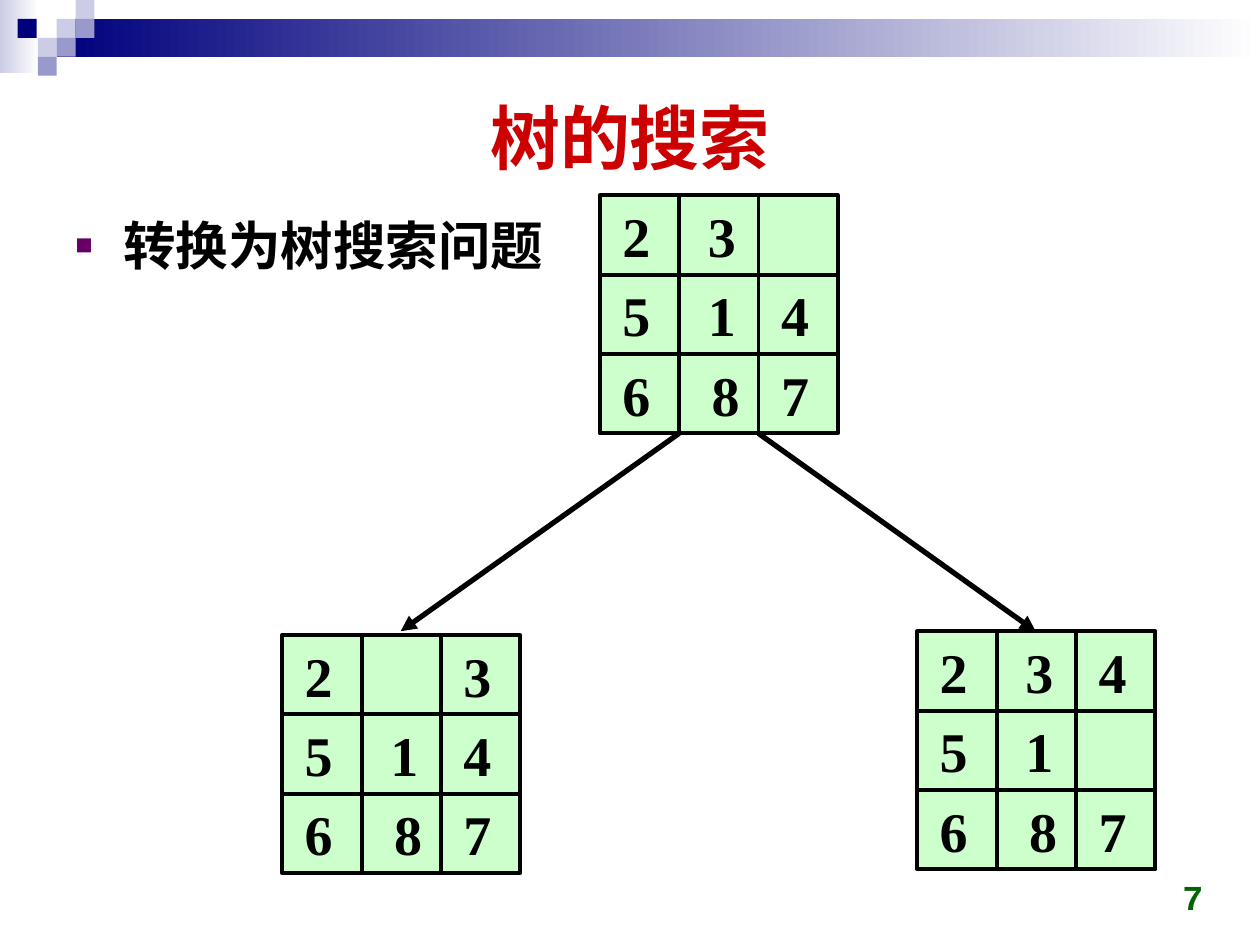
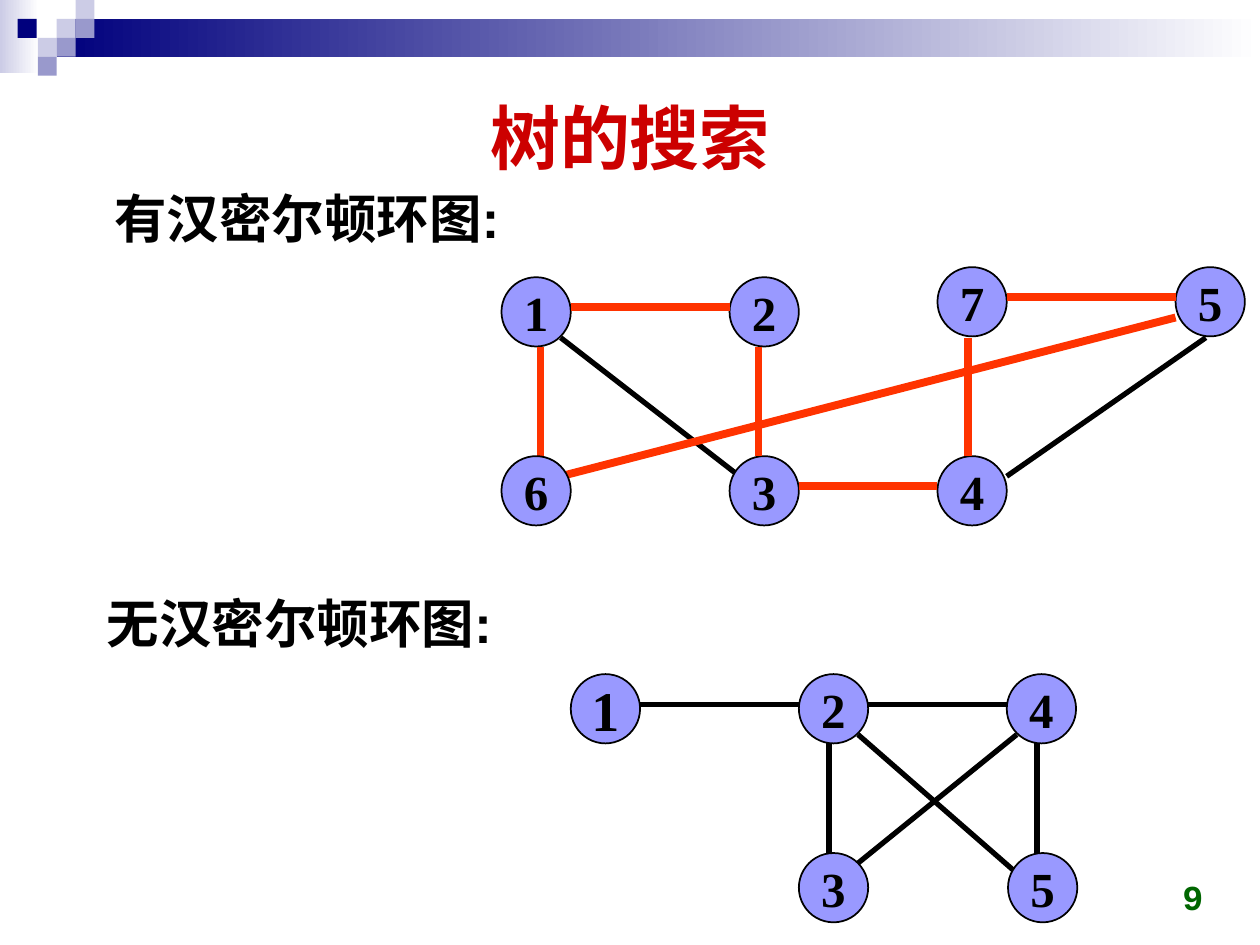
from lxml import etree
from pptx import Presentation
from pptx.dml.color import RGBColor
from pptx.enum.shapes import MSO_CONNECTOR, MSO_SHAPE
from pptx.enum.text import MSO_ANCHOR, PP_ALIGN
from pptx.oxml.ns import qn
from pptx.util import Inches, Pt

RECT, OVAL = MSO_SHAPE.RECTANGLE, MSO_SHAPE.OVAL
STRAIGHT = MSO_CONNECTOR.STRAIGHT
TOP, MIDDLE, BOTTOM = MSO_ANCHOR.TOP, MSO_ANCHOR.MIDDLE, MSO_ANCHOR.BOTTOM
LEFT, CENTER, RIGHT = PP_ALIGN.LEFT, PP_ALIGN.CENTER, PP_ALIGN.RIGHT

BLACK = RGBColor(0, 0, 0)
WHITE = RGBColor(0xFF, 0xFF, 0xFF)
NAVY = RGBColor(0x00, 0x00, 0x7D)
PALE = RGBColor(0xCC, 0xCC, 0xE6)
MAUVE = RGBColor(0x99, 0x99, 0xCC)
RED = RGBColor(0xCC, 0x00, 0x00)
GREEN = RGBColor(0x00, 0x66, 0x00)
MINT = RGBColor(0xCC, 0xFF, 0xCC)
BLUE = RGBColor(0x99, 0x99, 0xFF)
ORANGE = RGBColor(0xFF, 0x33, 0x00)

SANS, SERIF, MONO = "Arial", "Times New Roman", "Courier New"

SQUARE = 0.15
SQUARES = [(0.45, 0.15, PALE), (0.6, 0, PALE), (0.6, 0.15, MAUVE),
           (0.3, 0.3, PALE), (0.14, 0.15, NAVY), (0.45, 0.3, MAUVE),
           (0.3, 0.45, MAUVE)]

CELL = 0.63
COLUMNS = (0.08, 0.76, 1.34)
BOARDS = [(4.76, 1.55, ("23 ", "514", "687")),
          (2.24, 5.04, ("2 3", "514", "687")),
          (7.28, 5.01, ("234", "51 ", "687"))]

NODE = 0.55
CYCLE = [(4.53, 2.44, 5.79, 2.44), (6.02, 2.75, 6.02, 3.62),
         (6.34, 3.86, 7.44, 3.86), (7.68, 3.62, 7.68, 2.68),
         (7.99, 2.36, 9.33, 2.36), (4.45, 3.78, 9.33, 2.52),
         (4.29, 2.75, 4.29, 3.62)]
CHORDS = [(4.45, 2.68, 5.87, 3.78), (9.57, 2.68, 7.99, 3.78)]
EDGES = [(5.08, 5.59, 6.34, 5.59), (6.58, 5.9, 6.58, 6.77),
         (6.89, 5.59, 8, 5.59), (8.23, 5.9, 8.23, 6.77),
         (6.81, 5.83, 8.07, 6.93), (8.07, 5.83, 6.81, 6.85)]


def style(frame, text, size, font, color, align=LEFT, anchor=TOP, wrap=True):
    """Write one bold paragraph into a text frame and return it."""
    frame.text = text
    frame.word_wrap = wrap
    frame.vertical_anchor = anchor
    para = frame.paragraphs[0]
    para.alignment = align
    face = para.runs[0].font
    face.name, face.size, face.bold = font, Pt(size), True
    face.color.rgb = color
    return para


def label(slide, box, text, size, font, color, **look):
    """Add a text box at box (left, top, width, height)."""
    shape = slide.shapes.add_textbox(*map(Inches, box))
    return style(shape.text_frame, text, size, font, color, **look)


def block(slide, kind, box, fill, line=None):
    """Add a flat shape with a plain fill and, if given, a black outline."""
    shape = slide.shapes.add_shape(kind, *map(Inches, box))
    shape.shadow.inherit = False
    shape.fill.solid()
    shape.fill.fore_color.rgb = fill
    if line:
        shape.line.color.rgb = BLACK
        shape.line.width = Pt(line)
    else:
        shape.line.fill.background()
    return shape


def fade(slide, box, color):
    """Add a band that fades from color to white."""
    fill = block(slide, RECT, box, color).fill
    fill.gradient()
    fill.gradient_angle = 0
    for stop, tint in zip(fill.gradient_stops, (color, WHITE)):
        stop.color.rgb = tint


def link(slide, ends, width, color=BLACK, arrow=False):
    """Draw a straight line between ends (x1, y1, x2, y2)."""
    line = slide.shapes.add_connector(STRAIGHT, *map(Inches, ends))
    line.line.color.rgb = color
    line.line.width = Pt(width)
    if arrow:
        pen = line.line._get_or_add_ln()
        etree.SubElement(pen, qn("a:tailEnd"), type="triangle")
    etree.SubElement(line._element.spPr, qn("a:effectLst"))


def board(slide, left, top, rows):
    """Draw a 3 by 3 puzzle board with its digits."""
    side = 3 * CELL
    block(slide, RECT, (left, top, side, side), MINT, 2.25)
    for i in (1, 2):
        x, y = left + i * CELL, top + i * CELL
        link(slide, (left, y, left + side, y), 2.25)
        link(slide, (x, top, x, top + side), 2.25)
    for i, row in enumerate(rows):
        for shift, digit in zip(COLUMNS, row):
            if digit != " ":
                # The digit 8 sits slightly further right in its cell.
                x = left + shift + (0.03 if digit == "8" else 0)
                label(slide, (x, top + i * CELL, 0.42, CELL), digit, 32,
                      SERIF, BLACK, wrap=False)


def node(slide, left, top, name, size=28):
    """Draw a numbered graph node."""
    shape = block(slide, OVAL, (left, top, NODE, NODE), BLUE, 1)
    style(shape.text_frame, name, size, SERIF, BLACK, CENTER, MIDDLE, False)


def bullet(para):
    """Give a paragraph a hanging square bullet."""
    para.line_spacing = 1.05
    para.space_before = Pt(4.5)
    props = para._p.get_or_add_pPr()
    props.set("marL", str(Inches(0.38)))
    props.set("indent", str(-Inches(0.38)))
    tint = etree.SubElement(props, qn("a:buClr"))
    etree.SubElement(tint, qn("a:srgbClr"), val="660066")
    etree.SubElement(props, qn("a:buSzPct"), val="55000")
    etree.SubElement(props, qn("a:buFont"), typeface=SANS)
    etree.SubElement(props, qn("a:buChar"), char="■")


def base(deck, number):
    """Add a slide with the shared bands, title and page number."""
    slide = deck.slides.add_slide(deck.slide_layouts[6])
    fade(slide, (0, 0, 0.31, 0.58), PALE)
    fade(slide, (0.45, 0.15, 9.55, 0.3), NAVY)
    for left, top, color in SQUARES:
        block(slide, RECT, (left, top, SQUARE, SQUARE), color)
    label(slide, (0.5, 0.5, 9, 1.16), "树的搜索", 40, SANS, RED,
          align=CENTER, anchor=MIDDLE)
    label(slide, (7.32, 6.83, 2.33, 0.5), number, 20, MONO, GREEN,
          align=RIGHT, anchor=BOTTOM)
    return slide


def puzzle(deck):
    """Build the slide that turns the puzzle into a tree."""
    slide = base(deck, "7")
    bullet(label(slide, (0.5, 1.62, 9, 5.2), "转换为树搜索问题", 30, SANS,
                 BLACK))
    for left, top, rows in BOARDS:
        board(slide, left, top, rows)
    for ends in ((5.39, 3.44, 3.18, 5.01), (6.02, 3.44, 8.22, 5.01)):
        link(slide, ends, 3, arrow=True)


def graphs(deck):
    """Build the slide with and without a Hamiltonian cycle."""
    slide = base(deck, "9")
    for left, top, name in ((3.98, 2.2, "1"), (5.79, 2.2, "2"),
                            (7.44, 2.12, "7"), (7.44, 3.62, "4"),
                            (9.33, 2.12, "5")):
        node(slide, left, top, name)
    for ends in CHORDS:
        link(slide, ends, 3)
    node(slide, 5.79, 3.62, "3")
    for ends in CYCLE:
        link(slide, ends, 4.5, ORANGE)
    node(slide, 3.98, 3.62, "6")

    node(slide, 4.53, 5.35, "1", 32)
    node(slide, 6.34, 5.35, "2")
    node(slide, 7.99, 5.35, "4")
    for ends in EDGES:
        link(slide, ends, 3)
    node(slide, 6.34, 6.77, "3")
    node(slide, 8, 6.77, "5")

    for left, top, text in ((0.75, 4.64, "无汉密尔顿环图: "),
                            (0.81, 1.43, "有汉密尔顿环图: ")):
        label(slide, (left, top, 3.42, 0.61), text, 30, SANS, BLACK,
              wrap=False)


def main():
    """Build and save the two slides."""
    deck = Presentation()
    deck.slide_width, deck.slide_height = Inches(10), Inches(7.5)
    puzzle(deck)
    graphs(deck)
    deck.save("out.pptx")


main()
